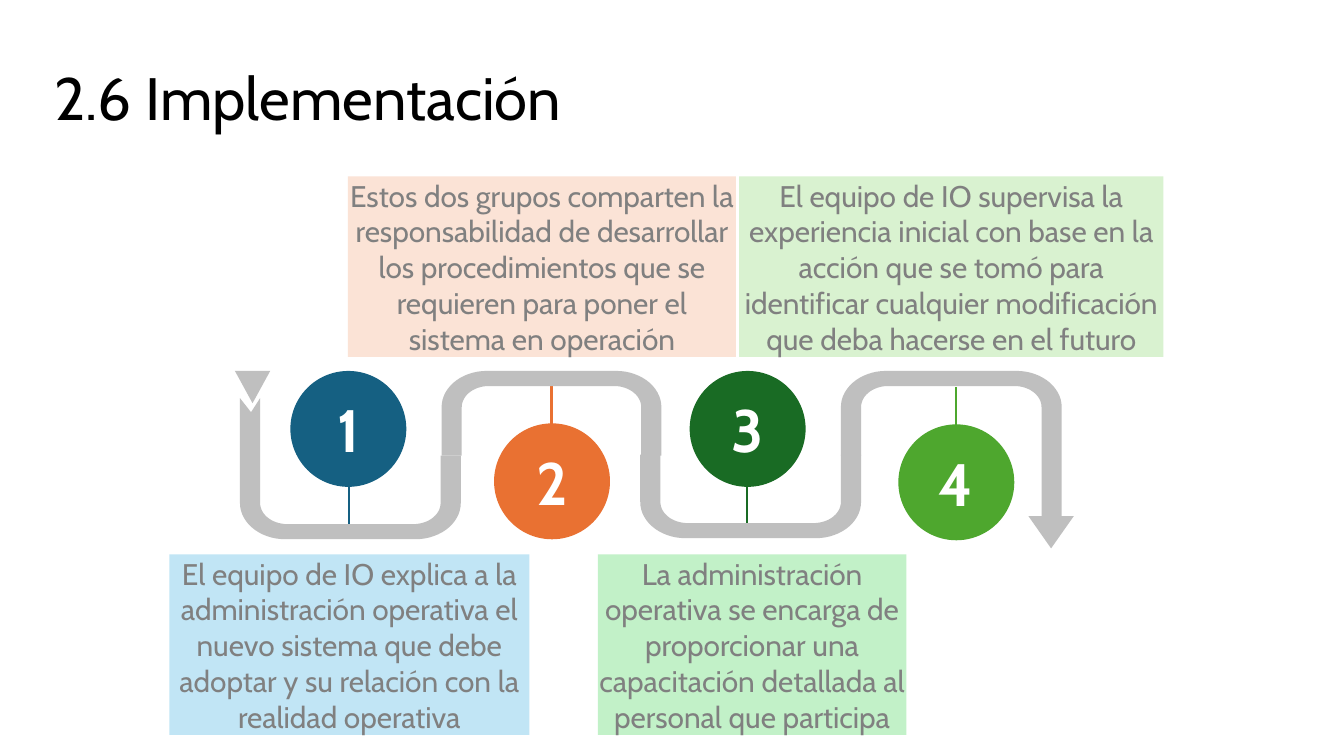
from dataclasses import dataclass
from math import cos, radians, sin

from lxml.etree import SubElement
from pptx import Presentation
from pptx.dml.color import RGBColor
from pptx.enum.shapes import MSO_CONNECTOR as Connector, MSO_SHAPE as Shape
from pptx.enum.text import MSO_ANCHOR as Anchor, MSO_AUTO_SIZE as AutoSize, PP_ALIGN as Align
from pptx.oxml.ns import qn
from pptx.util import Inches, Pt


@dataclass(frozen=True)
class Theme:
    font: str = "Cabin"
    heading: float = 42.7
    body: float = 21.3
    title_color: str = "000000"
    body_color: str = "808080"
    number_color: str = "FFFFFF"
    track: str = "BFBFBF"
    stem_width: float = 1.75


@dataclass(frozen=True)
class Step:
    text: str
    color: str
    tint: str
    circle: tuple  # left, top
    stem: tuple    # x, circle end, track end
    box: tuple     # left, top, width


THEME = Theme()
CIRCLE_SIZE = 1.15
BOX_HEIGHT = 1.79
TRACK_SIDE, TRACK_FLAT = 0.2, 0.15

STEPS = [
    Step("El equipo de IO explica a la administración operativa el nuevo sistema "
         "que debe adoptar y su relación con la realidad operativa",
         "156082", "C1E5F5", (2.88, 3.68), (3.46, 4.81, 5.21), (1.68, 5.5, 3.57)),
    Step("Estos dos grupos comparten la responsabilidad de desarrollar los "
         "procedimientos que se requieren para poner el sistema en operación",
         "E97132", "FBE3D6", (4.9, 4.2), (5.47, 4.23, 3.83), (3.45, 1.75, 3.85)),
    Step("La administración operativa se encarga de proporcionar una capacitación "
         "detallada al personal que participa",
         "196B24", "C2F1C8", (6.84, 3.68), (7.41, 4.81, 5.21), (5.93, 5.5, 3.06)),
    Step("El equipo de IO supervisa la experiencia inicial con base en la acción que "
         "se tomó para identificar cualquier modificación que deba hacerse en el futuro",
         "4EA72E", "D9F2D0", (8.91, 4.21), (9.48, 4.24, 3.84), (7.33, 1.75, 4.21)),
]

# Left, right, flat edge, left end, right end, notch points
BENDS = [
    (2.38, 4.57, 5.35, 3.95, 4.52, [(2.49, 4.09)]),
    (4.38, 6.56, 3.68, 4.52, 4.52, []),
    (6.35, 8.54, 5.34, 4.51, 4.51, []),
    (8.34, 10.53, 3.68, 4.52, 5.12, []),
]
# Left, top, width, height
ARROWHEADS = [(2.33, 3.68, 0.35, 0.32), (10.2, 5.12, 0.45, 0.32)]


def paint(shape, color):
    shape.fill.solid()
    shape.fill.fore_color.rgb = RGBColor.from_string(color)
    shape.line.fill.background()
    shape.shadow.inherit = False


def write(shape, text, size, color, align, bold=False):
    para = shape.text_frame.paragraphs[0]
    para.text = text
    para.alignment = align
    font = para.font
    font.name, font.size, font.bold = THEME.font, Pt(size), bold
    font.color.rgb = RGBColor.from_string(color)


def add_title(page, text):
    title = page.shapes.title
    title.left, title.top = Inches(0.44), Inches(0.55)
    title.width, title.height = Inches(12), Inches(0.82)
    frame = title.text_frame
    frame.auto_size, frame.vertical_anchor = AutoSize.NONE, Anchor.TOP
    write(title, text, THEME.heading, THEME.title_color, Align.LEFT)


def add_polygon(page, points, color):
    corners = [(Inches(x), Inches(y)) for x, y in points]
    builder = page.shapes.build_freeform(*corners[0])
    builder.add_line_segments(corners[1:], close=True)
    paint(builder.convert_to_shape(), color)


def edge(left, right, flat, radius_x, radius_y, down):
    """Points of one edge of a bend: two quarter arcs joined by a flat run."""
    arc = []
    for degrees in range(0, 91, 6):
        angle = radians(degrees)
        arc.append((radius_x * (1 - cos(angle)),
                    flat - down * radius_y * (1 - sin(angle))))
    return [(left + x, y) for x, y in arc] + [(right - x, y) for x, y in reversed(arc)]


def add_bend(page, left, right, flat, left_end, right_end, notch):
    down = 1 if flat > left_end else -1
    inner_left, inner_right = left + TRACK_SIDE, right - TRACK_SIDE
    outer = edge(left, right, flat, 0.45, 0.36, down)
    inner = edge(inner_left, inner_right, flat - down * TRACK_FLAT, 0.27, 0.21, down)
    points = [(left, left_end), *outer, (right, right_end),
              (inner_right, right_end), *reversed(inner), (inner_left, left_end), *notch]
    add_polygon(page, points, THEME.track)


def add_arrowhead(page, left, top, width, height):
    points = [(left, top), (left + width, top), (left + width / 2, top + height)]
    add_polygon(page, points, THEME.track)


def add_stem(page, step):
    x, start, end = step.stem
    stem = page.shapes.add_connector(
        Connector.STRAIGHT, Inches(x), Inches(start), Inches(x), Inches(end))
    stem.line.color.rgb = RGBColor.from_string(step.color)
    stem.line.width = Pt(THEME.stem_width)
    SubElement(stem._element.spPr, qn("a:effectLst"))


def add_circle(page, number, step):
    left, top = step.circle
    circle = page.shapes.add_shape(Shape.OVAL, Inches(left), Inches(top),
                                   Inches(CIRCLE_SIZE), Inches(CIRCLE_SIZE))
    paint(circle, step.color)
    circle.text_frame.vertical_anchor = Anchor.MIDDLE
    write(circle, str(number), THEME.heading, THEME.number_color, Align.CENTER, bold=True)


def add_box(page, step):
    left, top, width = step.box
    box = page.shapes.add_shape(Shape.RECTANGLE, Inches(left), Inches(top),
                                Inches(width), Inches(BOX_HEIGHT))
    paint(box, step.tint)
    frame = box.text_frame
    frame.word_wrap, frame.vertical_anchor = True, Anchor.MIDDLE
    frame.margin_left = frame.margin_right = frame.margin_top = frame.margin_bottom = 0
    write(box, step.text, THEME.body, THEME.body_color, Align.CENTER)


def main():
    deck = Presentation()
    deck.slide_width, deck.slide_height = Inches(13.33), Inches(7.5)
    page = deck.slides.add_slide(deck.slide_layouts[5])
    add_title(page, "2.6 Implementación")

    # Winding track over the stems
    for step in STEPS:
        add_stem(page, step)
    for bend in BENDS:
        add_bend(page, *bend)
    for arrowhead in ARROWHEADS:
        add_arrowhead(page, *arrowhead)

    # Numbered steps and their texts
    for number, step in enumerate(STEPS, 1):
        add_circle(page, number, step)
        add_box(page, step)

    deck.save("out.pptx")


if __name__ == "__main__":
    main()
